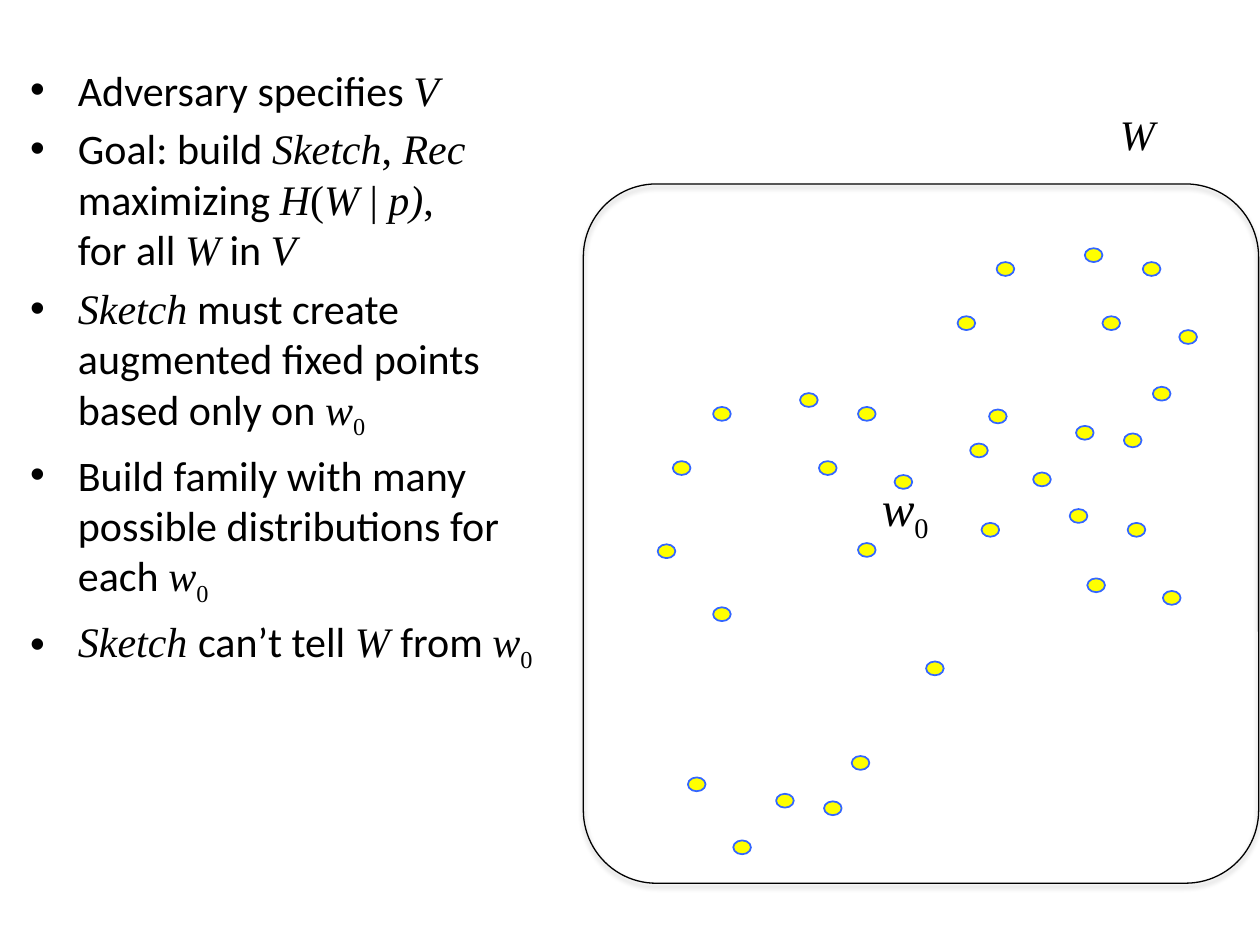
from typing import NamedTuple

from lxml.etree import SubElement
from pptx import Presentation
from pptx.dml.color import RGBColor
from pptx.enum.shapes import MSO_SHAPE
from pptx.enum.text import MSO_ANCHOR, PP_ALIGN
from pptx.oxml.ns import qn
from pptx.util import Inches, Pt

COLORS = {"ink": "000000", "paper": "FFFFFF", "dot": "FFFF00", "rim": "3366FF"}
SANS, SERIF = "Calibri", "Times New Roman"


class Part(NamedTuple):
    text: str
    font: str = SANS
    italic: bool = False
    base: int = 0


class Dot(NamedTuple):
    left: float
    top: float


def math(text: str) -> Part:
    return Part(text, SERIF, True)


def roman(text: str) -> Part:
    return Part(text, SERIF)


W0 = [math("w"), Part("0", SERIF, base=-25)]

POINTS = [
    [Part("Adversary specifies "), math("V")],
    [Part("Goal: build "), math("Sketch"), roman(","), math(" Rec"),
     Part(" maximizing "), math("H"), roman("("), math("W"), roman(" | "),
     math("p)"), roman(","), Part("\n"), Part("for all "), math("W"),
     Part(" in "), math("V")],
    [math("Sketch"),
     Part(" must create augmented fixed points based only on "), *W0],
    [Part("Build family with many possible distributions for each "), *W0],
    [math("Sketch "), Part("can’t tell "), math("W "), Part("from "), *W0],
]

DOTS = [Dot(*spot) for spot in (
    (7.35, 5.25), (6.81, 4.31), (8.95, 4.15), (8.49, 4.04), (9.23, 4.69),
    (8.63, 4.59), (7.79, 4.15), (5.22, 4.32), (5.34, 3.66), (6.81, 3.23),
    (5.82, 6.67), (5.46, 6.17), (6.35, 3.12), (7.1, 3.77), (6.16, 6.3),
    (6.76, 6), (6.5, 3.66), (5.66, 4.82), (6.54, 6.36), (5.66, 3.23),
    (8.2, 3.75), (7.85, 3.25), (8.54, 3.38), (9.15, 3.07), (7.7, 3.52),
    (8.92, 3.44), (7.6, 2.51), (9.07, 2.08), (8.61, 1.97), (9.36, 2.62),
    (8.75, 2.51), (7.91, 2.08),
)]


def color(name: str) -> RGBColor:
    return RGBColor.from_string(COLORS[name])


def write(para, text: str, *, size: float = 24, font: str = SANS,
          italic: bool = False, base: int = 0) -> None:
    """Add one run; base is the baseline shift in percent."""
    if text == "\n":
        para.add_line_break()
        return
    run = para.add_run()
    run.text = text
    run.font.size = Pt(size)
    run.font.name = font
    run.font.italic = italic
    run.font.color.rgb = color("ink")
    if base:
        run.font._element.set("baseline", str(base * 1000))


def fill_in(para, parts: list[Part], size: float = 24) -> None:
    for part in parts:
        write(para, part.text, size=size, font=part.font,
              italic=part.italic, base=part.base)


def add_shape(home, kind, left: float, top: float, width: float,
              height: float, *, line: str, weight: float = 0.75,
              fill: str | None = None):
    shape = home.add_shape(kind, Inches(left), Inches(top),
                           Inches(width), Inches(height))
    shape.shadow.inherit = False
    if fill:
        shape.fill.solid()
        shape.fill.fore_color.rgb = color(fill)
    else:
        shape.fill.background()
    shape.line.color.rgb = color(line)
    shape.line.width = Pt(weight)
    return shape


def add_box(home, left: float, top: float, width: float, height: float,
            wrap: bool = False):
    box = home.add_textbox(Inches(left), Inches(top),
                           Inches(width), Inches(height))
    box.text_frame.word_wrap = wrap
    return box.text_frame


def cast(shape) -> None:
    """Give the shape a soft shadow below it."""
    effects = shape._element.spPr.find(qn("a:effectLst"))
    outer = SubElement(effects, qn("a:outerShdw"), blurRad=str(Pt(3.1)),
                       dist=str(Pt(1.8)), dir="5400000", rotWithShape="0")
    tint = SubElement(outer, qn("a:srgbClr"), val=COLORS["ink"])
    SubElement(tint, qn("a:alpha"), val="35000")


def add_bullet(para) -> None:
    props = para._p.get_or_add_pPr()
    props.set("marL", str(Inches(0.38)))
    props.set("indent", str(Inches(-0.38)))
    SubElement(props, qn("a:buFont"), typeface="Arial")
    SubElement(props, qn("a:buChar"), char="•")


def add_list(home) -> None:
    frame = add_box(home, 0.14, 0.46, 4.49, 6.73, wrap=True)
    for i, parts in enumerate(POINTS):
        para = frame.add_paragraph() if i else frame.paragraphs[0]
        add_bullet(para)
        para.space_before = Pt(4.8 if i else 0)
        fill_in(para, parts)


def add_space(home) -> None:
    """Draw the rounded frame with its labels and sample points."""
    frame = add_shape(home, MSO_SHAPE.ROUNDED_RECTANGLE,
                      4.63, 1.46, 5.36, 5.55, line="ink")
    frame.adjustments[0] = 0.108
    cast(frame)

    label = add_shape(home, MSO_SHAPE.RECTANGLE, 6.9, 3.74, 0.64, 0.57,
                      line="paper").text_frame
    label.word_wrap = False
    label.vertical_anchor = MSO_ANCHOR.TOP
    label.paragraphs[0].alignment = PP_ALIGN.LEFT
    fill_in(label.paragraphs[0], W0, size=28)

    title = add_box(home, 8.79, 0.81, 0.59, 0.5)
    fill_in(title.paragraphs[0], [math("W")])

    cloud = home.add_group_shape().shapes
    for dot in DOTS:
        add_shape(cloud, MSO_SHAPE.OVAL, dot.left, dot.top, 0.14, 0.11,
                  line="rim", weight=1, fill="dot")


def main() -> None:
    deck = Presentation()
    deck.slide_width, deck.slide_height = Inches(10), Inches(7.5)
    shapes = deck.slides.add_slide(deck.slide_layouts[6]).shapes
    add_space(shapes)
    add_list(shapes)
    deck.save("out.pptx")


if __name__ == "__main__":
    main()
